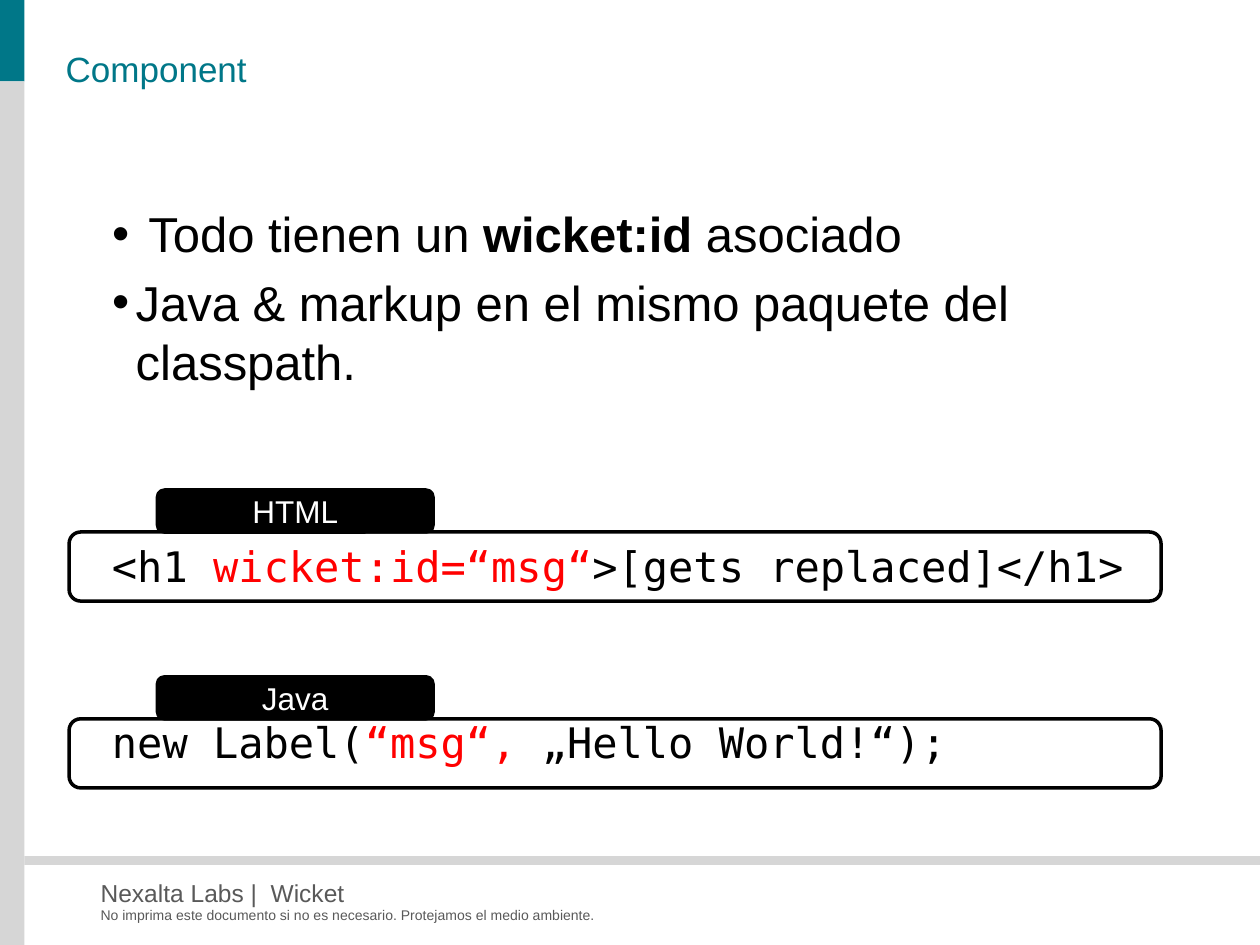
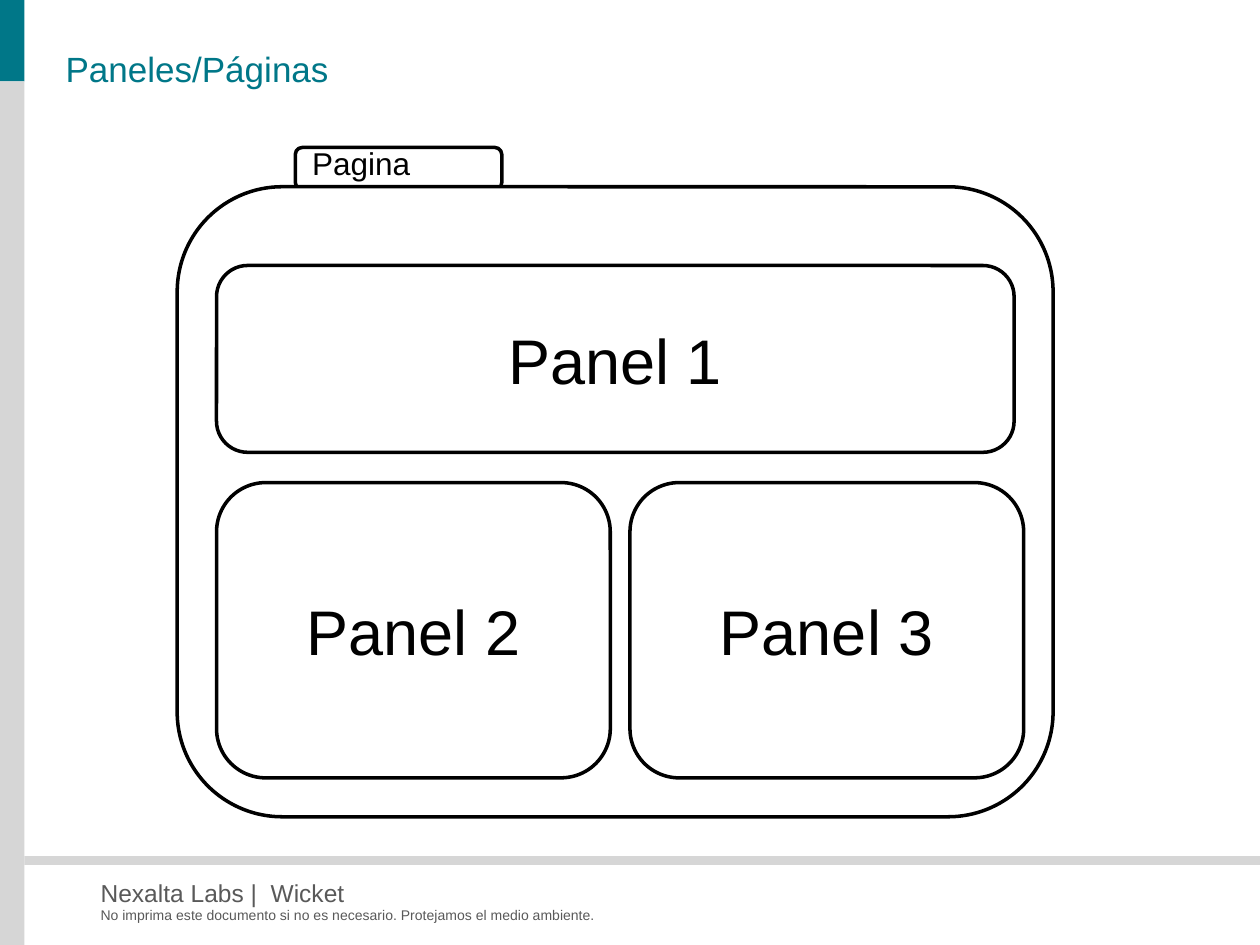
"""Build two slides on web components: markup binding and panel layout."""
from lxml import etree
from pptx import Presentation
from pptx.dml.color import RGBColor
from pptx.enum import shapes, text
from pptx.oxml import ns
from pptx.util import Pt

TEAL = RGBColor(0x00, 0x77, 0x88)
BAND_GRAY = RGBColor(0xD6, 0xD6, 0xD6)
FOOTER_GRAY = RGBColor(0x59, 0x59, 0x59)
BLACK = RGBColor(0x00, 0x00, 0x00)
WHITE = RGBColor(0xFF, 0xFF, 0xFF)
RED = RGBColor(0xFF, 0x00, 0x00)
SANS = "Arial"
MONO = "DejaVu Sans Mono"
RECTANGLE = shapes.MSO_SHAPE.RECTANGLE
ROUNDED = shapes.MSO_SHAPE.ROUNDED_RECTANGLE
CENTER = text.PP_ALIGN.CENTER
MIDDLE = text.MSO_ANCHOR.MIDDLE


def add_box(slide, kind, place, fill=None, line=None, label="", size=18, color=BLACK):
    """Add a preset shape with an optional centred label."""
    shape = slide.shapes.add_shape(kind, *[Pt(length) for length in place])
    shape.shadow.inherit = False
    if fill is None:
        shape.fill.background()
    else:
        shape.fill.solid()
        shape.fill.fore_color.rgb = fill
    if line is None:
        shape.line.fill.background()
    else:
        shape.line.color.rgb = line
        shape.line.width = Pt(2)
    if label:
        frame = shape.text_frame
        frame.text = label
        frame.vertical_anchor = MIDDLE
        paragraph = frame.paragraphs[0]
        paragraph.alignment = CENTER
        font = paragraph.runs[0].font
        font.name, font.size, font.color.rgb = SANS, Pt(size), color


def add_text(slide, place, paragraphs, size, color=BLACK, name=SANS, inset=True):
    """Add a text box; each paragraph is a list of (words, bold, run color)."""
    box = slide.shapes.add_textbox(*[Pt(length) for length in place])
    frame = box.text_frame
    frame.word_wrap = True
    if not inset:
        frame.margin_left = frame.margin_right = 0
        frame.margin_top = frame.margin_bottom = 0
    for index, runs in enumerate(paragraphs):
        paragraph = frame.add_paragraph() if index else frame.paragraphs[0]
        for words, bold, run_color in runs:
            run = paragraph.add_run()
            run.text = words
            run.font.name, run.font.size, run.font.bold = name, Pt(size), bold
            run.font.color.rgb = run_color or color
    return frame


presentation = Presentation()
presentation.slide_width = Pt(720)
presentation.slide_height = Pt(540)

slides = []
for title in ["Component", "Paneles/Páginas"]:
    slide = presentation.slides.add_slide(presentation.slide_layouts[6])
    slides.append(slide)
    add_box(slide, RECTANGLE, (0, 0, 14, 46.5), TEAL)
    add_box(slide, RECTANGLE, (0, 46.5, 14, 493.5), BAND_GRAY)
    add_box(slide, RECTANGLE, (14, 489.25, 706, 5), BAND_GRAY)
    for words, place, size, color in [
        ("Nexalta Labs |  Wicket", (57.5, 502, 517, 16.5), 14, FOOTER_GRAY),
        ("No imprima este documento si no es necesario. Protejamos el medio ambiente.",
         (57.5, 518.25, 479, 9.5), 8, FOOTER_GRAY),
        (title, (37.5, 27.5, 665, 23), 20, TEAL),
    ]:
        frame = add_text(slide, place, [[(words, False, None)]], size, color, inset=False)
        if words == title:
            frame.vertical_anchor = MIDDLE

component_slide, panels_slide = slides

bullets = add_text(component_slide, (57, 113, 621, 120), [
    [(" Todo tienen un ", False, None), ("wicket:id", True, None), (" asociado", False, None)],
    [("Java & markup en el mismo paquete del classpath.", False, None)],
], 28)
for paragraph in bullets.paragraphs:
    paragraph.space_before = Pt(5.6)
    properties = paragraph._p.get_or_add_pPr()
    properties.set("marL", str(Pt(13.5)))
    properties.set("indent", str(-Pt(13.5)))
    etree.SubElement(properties, ns.qn("a:buFont")).set("typeface", SANS)
    etree.SubElement(properties, ns.qn("a:buChar")).set("char", "•")

code_samples = [
    ("HTML", 280, 309, [("<h1 ", False, None), ("wicket:id=“msg“", False, RED),
                        (">[gets replaced]</h1>", False, None)]),
    ("Java", 386.75, 409.5, [("new Label(", False, None), ("“msg“, ", False, RED),
                             ("„Hello World!“);", False, None)]),
]
for language, tab_top, code_top, code in code_samples:
    add_text(component_slide, (64, code_top, 607, 28), [code], 24, name=MONO, inset=False)
    add_box(component_slide, ROUNDED, (39.5, tab_top + 24, 624, 39.5), line=BLACK)
    add_box(component_slide, ROUNDED, (90, tab_top, 157.5, 24), BLACK, BLACK, language, 18, WHITE)

add_box(panels_slide, ROUNDED, (168.75, 84.25, 118, 24), line=BLACK)
add_box(panels_slide, ROUNDED, (101.25, 106.75, 500.5, 360), WHITE, BLACK)
add_text(panels_slide, (171.25, 78.5, 115, 29), [[("Pagina", False, None)]], 18)
for number, place in enumerate([
    (123.75, 151.75, 455.75, 106.75),
    (123.75, 275.75, 225, 168.75),
    (360, 275.75, 225, 168.75),
], start=1):
    add_box(panels_slide, ROUNDED, place, WHITE, BLACK, f"Panel {number}", 36)

presentation.save("out.pptx")
